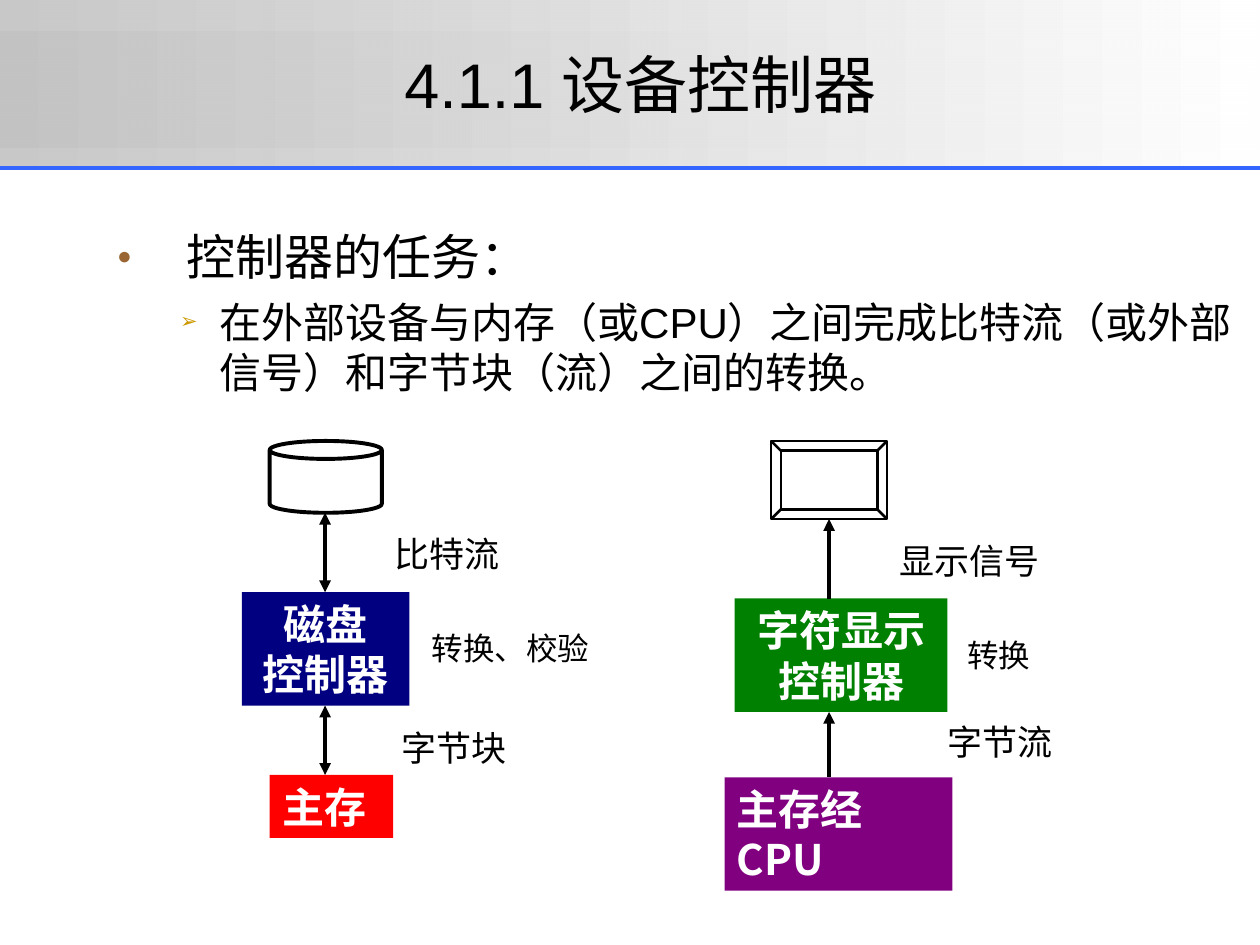
from dataclasses import dataclass

from lxml import etree
from pptx import Presentation
from pptx import util as u
from pptx.dml.color import RGBColor
from pptx.enum import shapes, text
from pptx.oxml.ns import qn

CELL = u.Inches(0.1)
COLUMNS, ROWS = 100, 75
CJK, LATIN = "Noto Sans CJK SC", "Arial"
BLACK = RGBColor(0, 0, 0)
WHITE = RGBColor(255, 255, 255)
SILVER = RGBColor(0xC0, 0xC0, 0xC0)
RULE_BLUE = RGBColor(0x33, 0x66, 0xFF)
NAVY = RGBColor(0, 0, 0x80)
RED = RGBColor(255, 0, 0)
GREEN = RGBColor(0, 0x80, 0)
PURPLE = RGBColor(0x80, 0, 0x80)
BROWN = RGBColor(0x99, 0x66, 0x33)
GOLD = RGBColor(0xCC, 0x99, 0)


@dataclass
class Box:
    left: float
    top: float
    width: float
    height: float

    def inside(self, left, top, width, height):
        return Box(self.left + left, self.top + top, width, height)

    @property
    def bottom(self):
        return self.top + self.height

    @property
    def emu(self):
        return [round(n * CELL) for n in (self.left, self.top, self.width, self.height)]


def place(part, box):
    part.left, part.top, part.width, part.height = box.emu


def add_sub(parent, tag, **attributes):
    return etree.SubElement(parent, qn(tag), attributes)


def style_paragraph(paragraph, size, color, font=CJK, bold=False, align=text.PP_ALIGN.LEFT):
    paragraph.alignment = align
    for run in paragraph.runs:
        run.font.name, run.font.size = font, u.Pt(size)
        run.font.bold, run.font.color.rgb = bold, color
        add_sub(run.font._element, "a:ea", typeface=CJK)


def add_line(slide, start, end, color, ends=()):
    x1, y1, x2, y2 = [round(n * CELL) for n in (*start, *end)]
    line = slide.shapes.add_connector(shapes.MSO_CONNECTOR.STRAIGHT, x1, y1, x2, y2)
    line.line.color.rgb, line.line.width = color, u.Pt(2.25)
    for tag in ends:
        add_sub(line._element.spPr.get_or_add_ln(), tag, type="triangle")
    add_sub(line._element.spPr, "a:effectLst")
    return line


def add_block(slide, kind, box, fill=None, outline=None):
    block = slide.shapes.add_shape(kind, *box.emu)
    block.shadow.inherit = False
    if fill is None:
        block.fill.background()
    else:
        block.fill.solid()
        block.fill.fore_color.rgb = fill
    if outline is None:
        block.line.fill.background()
    else:
        block.line.color.rgb, block.line.width = BLACK, u.Pt(outline)
    return block


def add_band(slide, box, opacity):
    band = add_block(slide, shapes.MSO_SHAPE.RECTANGLE, box, SILVER)
    band.fill.gradient()
    band.fill.gradient_angle = 0
    for stop, color in zip(band.fill.gradient_stops, (SILVER, WHITE)):
        stop.color.rgb = color
    silver = next(band._element.iter(qn("a:srgbClr")))
    add_sub(silver, "a:alpha", val=str(opacity * 1000))
    return band


def header(slide, box):
    backdrop = [
        add_band(slide, box, 86),
        add_band(slide, box.inside(0, 2.5, box.width, 9.2), 59),
        add_line(slide, (box.left, box.bottom), (box.left + box.width, box.bottom), RULE_BLUE),
    ]
    for depth, part in enumerate(backdrop, start=2):
        slide.shapes._spTree.insert(depth, part._element)

    title = slide.shapes.title
    place(title, box.inside(11.7, 3.1, 78.3, 7))
    title.text_frame.text = "4.1.1 设备控制器"
    title.text_frame.auto_size = text.MSO_AUTO_SIZE.NONE
    title.text_frame.vertical_anchor = text.MSO_ANCHOR.MIDDLE
    style_paragraph(title.text_frame.paragraphs[0], 36, BLACK, LATIN, align=text.PP_ALIGN.CENTER)


def task_list(slide, box):
    body = slide.placeholders[1]
    place(body, box)
    frame = body.text_frame
    frame.auto_size = text.MSO_AUTO_SIZE.NONE
    frame.vertical_anchor = text.MSO_ANCHOR.TOP
    frame.text = "控制器的任务：\n在外部设备与内存（或CPU）之间完成比特流（或外部信号）和字节块（流）之间的转换。"
    levels = [(28, 0, 0.55, 0.55, "●", BROWN), (24, 6, 0.81, 0.31, "➢", GOLD)]
    for level, (paragraph, rules) in enumerate(zip(frame.paragraphs, levels)):
        size, before, margin, hanging, bullet, color = rules
        paragraph.level = level
        paragraph.space_before = u.Pt(before)
        properties = paragraph._p.get_or_add_pPr()
        properties.set("marL", str(u.Inches(margin)))
        properties.set("indent", str(-u.Inches(hanging)))
        add_sub(add_sub(properties, "a:buClr"), "a:srgbClr", val=str(color))
        add_sub(properties, "a:buSzPct", val="50000")
        add_sub(properties, "a:buChar", char=bullet)
        style_paragraph(paragraph, size, BLACK, LATIN)


def stage(slide, box, caption, fill, align):
    block = add_block(slide, shapes.MSO_SHAPE.RECTANGLE, box, fill)
    block.text_frame.word_wrap = True
    block.text_frame.vertical_anchor = text.MSO_ANCHOR.TOP
    block.text_frame.text = caption
    style_paragraph(block.text_frame.paragraphs[0], 24, WHITE, bold=True, align=align)


def data_path(slide, box, axis, ends, device, controller, memory, labels):
    kind, device_cells, outline = device
    device_box = box.inside(*device_cells)
    add_block(slide, kind, device_box, outline=outline)
    controller_box, memory_box = box.inside(*controller[0]), box.inside(*memory[0])
    stage(slide, controller_box, *controller[1:], text.PP_ALIGN.CENTER)
    stage(slide, memory_box, *memory[1:], text.PP_ALIGN.LEFT)
    x = box.left + axis
    for upper, lower in ((device_box, controller_box), (controller_box, memory_box)):
        add_line(slide, (x, upper.bottom), (x, lower.top), BLACK, ends)
    for cells, caption, size in labels:
        label = slide.shapes.add_textbox(*box.inside(*cells).emu)
        label.text_frame.word_wrap = False
        label.text_frame.text = caption
        style_paragraph(label.text_frame.paragraphs[0], size, BLACK)


def main():
    deck = Presentation()
    deck.slide_width, deck.slide_height = COLUMNS * CELL, ROWS * CELL
    slide = deck.slides.add_slide(deck.slide_layouts[1])

    header(slide, Box(0, 0, COLUMNS, 13.3))
    task_list(slide, Box(8.3, 17.5, 91.7, 55))
    data_path(
        slide, Box(19.2, 35, 28.7, 31.5), 6.6, ("a:headEnd", "a:tailEnd"),
        device=(shapes.MSO_SHAPE.CAN, (2.2, 0, 8.9, 5.7), 2.25),
        controller=((0, 12, 13.3, 9), "磁盘\v控制器", NAVY),
        memory=((2.2, 26.5, 9.8, 5), "主存", RED),
        labels=[
            ((11.1, 6.8, 10.6, 4.4), "比特流", 20),
            ((14.1, 14.4, 14.6, 4), "转换、校验", 18),
            ((11.7, 22.2, 10.6, 4.4), "字节块", 20),
        ],
    )
    data_path(
        slide, Box(57.5, 35, 27.3, 35.7), 8.3, ("a:headEnd",),
        device=(shapes.MSO_SHAPE.BEVEL, (3.7, 0, 9.2, 6.2), 1.5),
        controller=((0.8, 12.5, 16.9, 9), "字符显示控制器", GREEN),
        memory=((0, 26.7, 18.1, 9), "主存经CPU", PURPLE),
        labels=[
            ((12.9, 7.3, 13.4, 4.4), "显示信号", 20),
            ((18.3, 15, 8, 4), "转换", 18),
            ((16.7, 21.7, 10.6, 4.4), "字节流", 20),
        ],
    )
    deck.save("out.pptx")


if __name__ == "__main__":
    main()
